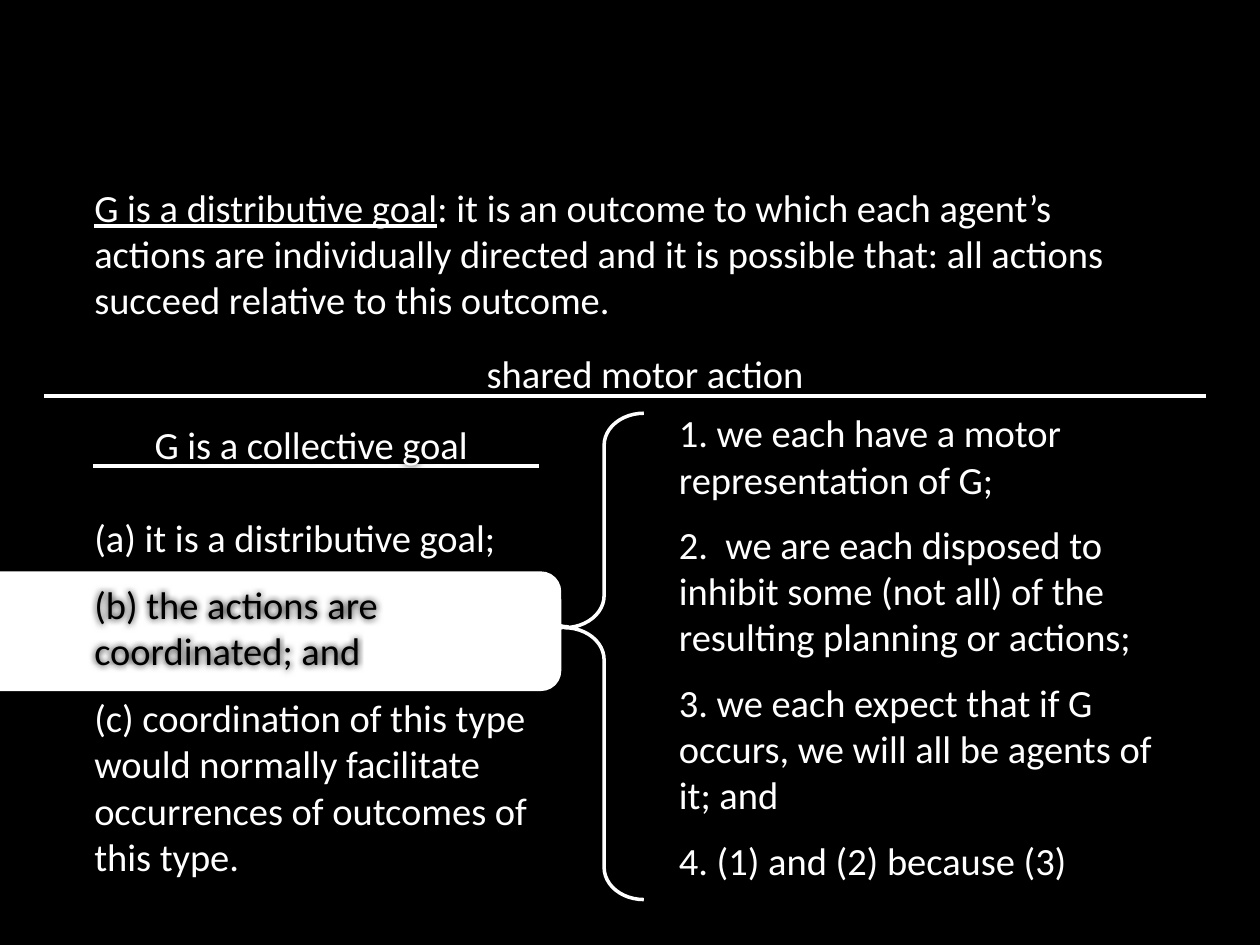
from lxml import etree
from pptx import Presentation
from pptx.dml.color import RGBColor
from pptx.enum.shapes import MSO_CONNECTOR, MSO_SHAPE
from pptx.enum.text import PP_ALIGN
from pptx.oxml.ns import qn
from pptx.util import Inches, Pt

STRAIGHT = MSO_CONNECTOR.STRAIGHT
BRACE = MSO_SHAPE.LEFT_BRACE
ROUNDED = MSO_SHAPE.ROUNDED_RECTANGLE
LEFT, CENTER = PP_ALIGN.LEFT, PP_ALIGN.CENTER
BLACK = RGBColor(0, 0, 0)
WHITE = RGBColor(255, 255, 255)
FONT = "Calibri"
TEXT_SIZE = Pt(22)
BLANK_LAYOUT = 6


def add_text_box(page, left, top, width, height):
    box = page.shapes.add_textbox(Inches(left), Inches(top), Inches(width), Inches(height))
    box.text_frame.word_wrap = True
    return box


def add_span(para, text, color=WHITE, underline=None):
    span = para.add_run()
    span.text = text
    span.font.name = FONT
    span.font.size = TEXT_SIZE
    span.font.color.rgb = color
    span.font.underline = underline


def fill_paragraphs(box, items):
    frame = box.text_frame
    for index, (text, color, align, space_after) in enumerate(items):
        para = frame.add_paragraph() if index else frame.paragraphs[0]
        para.alignment = align
        para.space_after = Pt(space_after)
        add_span(para, text, color)


def add_rule(page, left, right, height):
    rule = page.shapes.add_connector(
        STRAIGHT, Inches(left), Inches(height), Inches(right), Inches(height))
    rule.line.color.rgb = WHITE
    rule.line.width = Pt(2.25)
    etree.SubElement(rule._element.spPr, qn("a:effectLst"))


def add_white_shape(page, kind, left, top, width, height, line_width):
    shape = page.shapes.add_shape(
        kind, Inches(left), Inches(top), Inches(width), Inches(height))
    shape.shadow.inherit = False
    shape.line.color.rgb = WHITE
    shape.line.width = Pt(line_width)
    return shape


def add_brace(page, left, top, width, height, tip, flipped=False):
    brace = add_white_shape(page, BRACE, left, top, width, height, 2)
    brace.fill.background()
    brace.adjustments[0] = 0.405
    brace.adjustments[1] = tip
    if flipped:
        brace._element.spPr.find(qn("a:xfrm")).set("flipH", "1")


def add_text_shadow(box):
    effects = etree.SubElement(box._element.spPr, qn("a:effectLst"))
    shadow = etree.SubElement(effects, qn("a:outerShdw"), blurRad=str(Pt(4)), dist="0")
    color = etree.SubElement(shadow, qn("a:srgbClr"), val=str(BLACK))
    etree.SubElement(color, qn("a:alpha"), val="100000")


def add_definition(page, left, top, width, height):
    box = add_text_box(page, left, top, width, height)
    box.fill.solid()
    box.fill.fore_color.rgb = BLACK
    para = box.text_frame.paragraphs[0]
    add_span(para, "G is a distributive goal", underline=True)
    add_span(para, ": it is an outcome to which each agent’s actions are individually "
                   "directed and it is possible that: all actions succeed relative to "
                   "this outcome.")


def add_heading(page, left, top, width, height):
    box = add_text_box(page, left, top, width, height)
    fill_paragraphs(box, [("shared motor action", WHITE, CENTER, 0)])
    add_rule(page, 0.35, 9.57, 3.14)


def add_highlight(page, left, top, width, height):
    highlight = add_white_shape(page, ROUNDED, left, top, width, height, 0.75)
    highlight.fill.solid()
    highlight.fill.fore_color.rgb = WHITE


def add_collective_goal(page, left, top, width, height):
    add_rule(page, left + 0.09, left + width - 0.01, top + 0.41)
    box = add_text_box(page, left, top, width, height)
    add_text_shadow(box)
    fill_paragraphs(box, [
        ("G is a collective goal", WHITE, CENTER, 26.8),
        ("(a) it is a distributive goal;", WHITE, LEFT, 12),
        ("(b) the actions are coordinated; and", BLACK, LEFT, 12),
        ("(c) coordination of this type would normally facilitate occurrences of "
         "outcomes of this type.", WHITE, LEFT, 12),
    ])


def add_conditions(page, left, top, width, height):
    conditions = [
        "1. we each have a motor representation of G;",
        "2.  we are each disposed to inhibit some (not all) of the resulting planning "
        "or actions;",
        "3. we each expect that if G occurs, we will all be agents of it; and",
        "4. (1) and (2) because (3)",
    ]
    box = add_text_box(page, left, top, width, height)
    fill_paragraphs(box, [(text, WHITE, LEFT, 11) for text in conditions])


def main():
    deck = Presentation()
    deck.slide_width = Inches(10)
    deck.slide_height = Inches(7.5)
    page = deck.slides.add_slide(deck.slide_layouts[BLANK_LAYOUT])
    page.background.fill.solid()
    page.background.fill.fore_color.rgb = BLACK
    add_definition(page, 0.65, 1.41, 8.68, 1.21)
    add_highlight(page, -0.35, 4.54, 4.8, 0.94)
    add_conditions(page, 5.29, 3.2, 4.04, 3.9)
    add_heading(page, 1.85, 2.73, 6.54, 0.47)
    add_brace(page, 4.48, 3.28, 0.63, 3.86, 0.441)
    add_brace(page, 4.13, 4.62, 0.38, 0.71, 0.5, flipped=True)
    add_collective_goal(page, 0.65, 3.29, 3.64, 3.77)
    deck.save("out.pptx")


if __name__ == "__main__":
    main()
